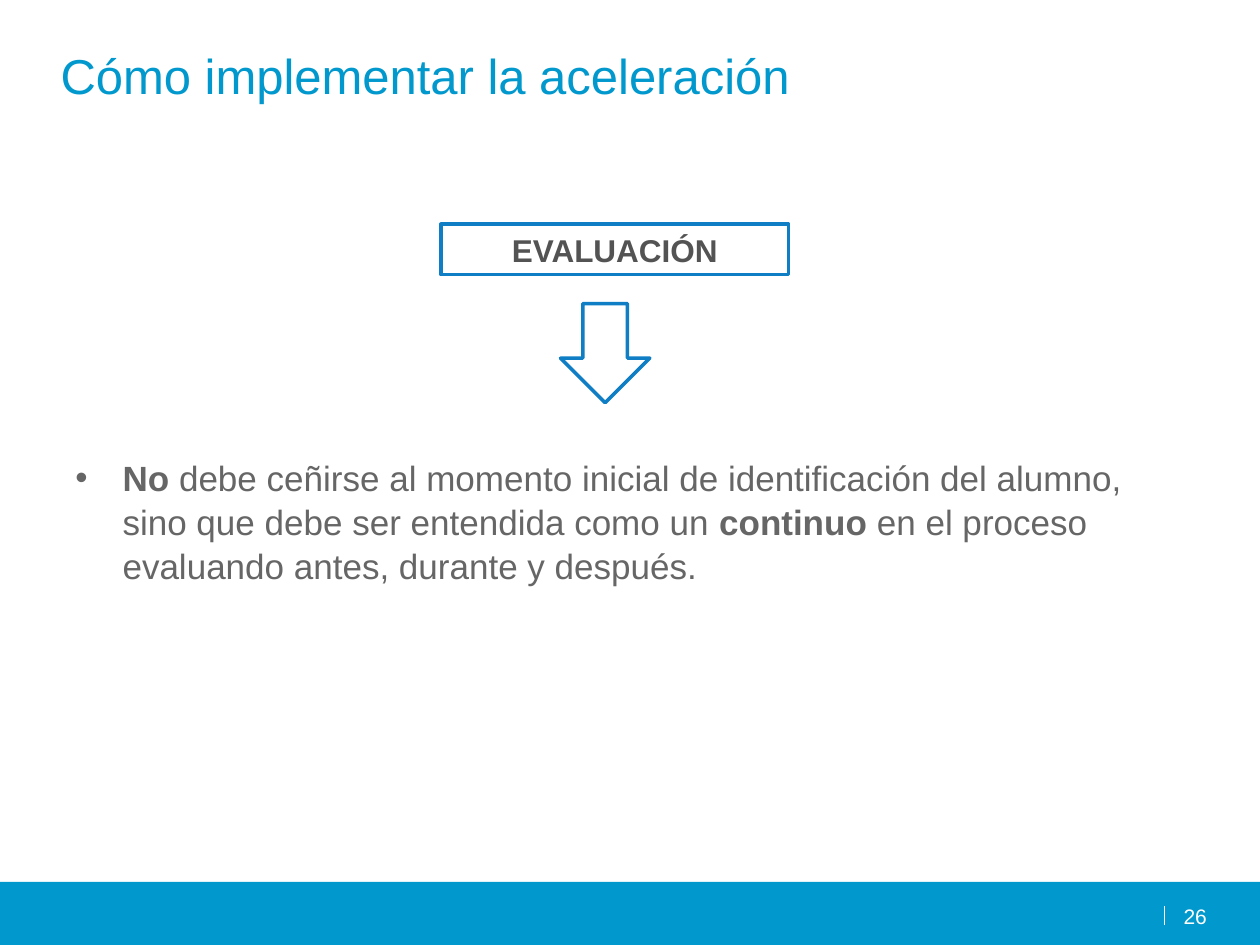
from dataclasses import dataclass

from lxml import etree
from pptx import Presentation
from pptx import util as u
from pptx.dml.color import RGBColor
from pptx.enum import shapes, text
from pptx.oxml import ns


@dataclass(frozen=True)
class Theme:
    font: str = "Arial"
    accent: str = "0098CD"
    outline: str = "0F7EC5"
    label: str = "535353"
    body: str = "666666"
    white: str = "FFFFFF"
    title_size: int = 28
    body_size: int = 20
    label_size: int = 18
    number_size: int = 12


THEME = Theme()


def place(shape, left, top, width, height):
    shape.left, shape.top = u.Cm(left), u.Cm(top)
    shape.width, shape.height = u.Cm(width), u.Cm(height)


def write_text(shape, runs, size, color, align=text.PP_ALIGN.LEFT,
               anchor=text.MSO_ANCHOR.TOP, margins=(0.25, 0.13, 0.25, 0.13),
               spacing=None, bullet_indent=None):
    frame = shape.text_frame
    frame.word_wrap = True
    frame.auto_size = text.MSO_AUTO_SIZE.NONE
    frame.vertical_anchor = anchor
    (frame.margin_left, frame.margin_top,
     frame.margin_right, frame.margin_bottom) = map(u.Cm, margins)
    paragraph = frame.paragraphs[0]
    paragraph.alignment = align
    paragraph.space_before = u.Pt(0)
    if spacing:
        paragraph.line_spacing = spacing
    if bullet_indent:
        properties = paragraph._p.get_or_add_pPr()
        properties.set("marL", str(u.Cm(bullet_indent)))
        properties.set("indent", str(-u.Cm(bullet_indent)))
        etree.SubElement(properties, ns.qn("a:buFont"), typeface=THEME.font)
        etree.SubElement(properties, ns.qn("a:buChar"), char="•")
    for content, bold in runs:
        run = paragraph.add_run()
        run.text = content
        run.font.name = THEME.font
        run.font.size = u.Pt(size)
        run.font.bold = bold
        run.font.color.rgb = RGBColor.from_string(color)


def add_block(slide, kind, box, fill, line=None):
    shape = slide.shapes.add_shape(kind, *map(u.Cm, box))
    shape.shadow.inherit = False
    shape.fill.solid()
    shape.fill.fore_color.rgb = RGBColor.from_string(fill)
    if line:
        shape.line.color.rgb = RGBColor.from_string(line)
        shape.line.width = u.Pt(2)
    else:
        shape.line.fill.background()
    return shape


def add_footer(slide, left, top, width, height):
    add_block(slide, shapes.MSO_SHAPE.RECTANGLE, (left, top, width, height), THEME.accent)
    x = left + 23.47
    divider = slide.shapes.add_connector(
        shapes.MSO_CONNECTOR.STRAIGHT,
        u.Cm(x), u.Cm(top + 0.86), u.Cm(x), u.Cm(top + 0.48))
    divider.line.color.rgb = RGBColor.from_string(THEME.white)
    divider.line.width = u.Pt(0.75)
    etree.SubElement(divider._element.spPr, ns.qn("a:effectLst"))
    number = slide.shapes.add_textbox(
        u.Cm(left + 23.57), u.Cm(top + 0.43), u.Cm(0.76), u.Cm(0.48))
    write_text(number, [("26", False)], THEME.number_size, THEME.white,
               align=text.PP_ALIGN.RIGHT, margins=(0, 0, 0, 0))


def add_title(slide, left, top, width, height):
    title = slide.shapes.title
    place(title, left, top, width, height)
    write_text(title, [("Cómo implementar la aceleración", False)],
               THEME.title_size, THEME.accent)


def add_evaluation(slide, left, top, width, height):
    label = add_block(slide, shapes.MSO_SHAPE.RECTANGLE,
                      (left, top, width, 1.02), THEME.white, THEME.outline)
    write_text(label, [("EVALUACIÓN", True)], THEME.label_size, THEME.label,
               align=text.PP_ALIGN.CENTER, anchor=text.MSO_ANCHOR.MIDDLE)
    arrow_height = 2
    add_block(slide, shapes.MSO_SHAPE.DOWN_ARROW,
              (left + 2.41, top + height - arrow_height, 1.8, arrow_height),
              THEME.white, THEME.outline)


def add_body(slide, left, top, width, height):
    body = slide.placeholders[1]
    place(body, left, top, width, height)
    write_text(body, [
        ("No ", True),
        ("debe ceñirse al momento inicial de identificación del alumno, "
         "sino que debe ser entendida como un ", False),
        ("continuo", True),
        (" en el proceso evaluando antes, durante y después.", False),
    ], THEME.body_size, THEME.body, margins=(0.25, 0.23, 0.25, 0.13),
        spacing=1.05, bullet_indent=0.95)


def main():
    presentation = Presentation()
    presentation.slide_width, presentation.slide_height = u.Cm(25.4), u.Cm(19.05)
    slide = presentation.slides.add_slide(presentation.slide_layouts[1])
    add_footer(slide, 0, 17.78, 25.4, 1.3)
    add_title(slide, 0.97, 0.79, 22.86, 3.18)
    add_evaluation(slide, 8.89, 4.52, 7.01, 3.6)
    add_body(slide, 1.27, 8.92, 22.86, 8.1)
    presentation.save("out.pptx")


if __name__ == "__main__":
    main()
